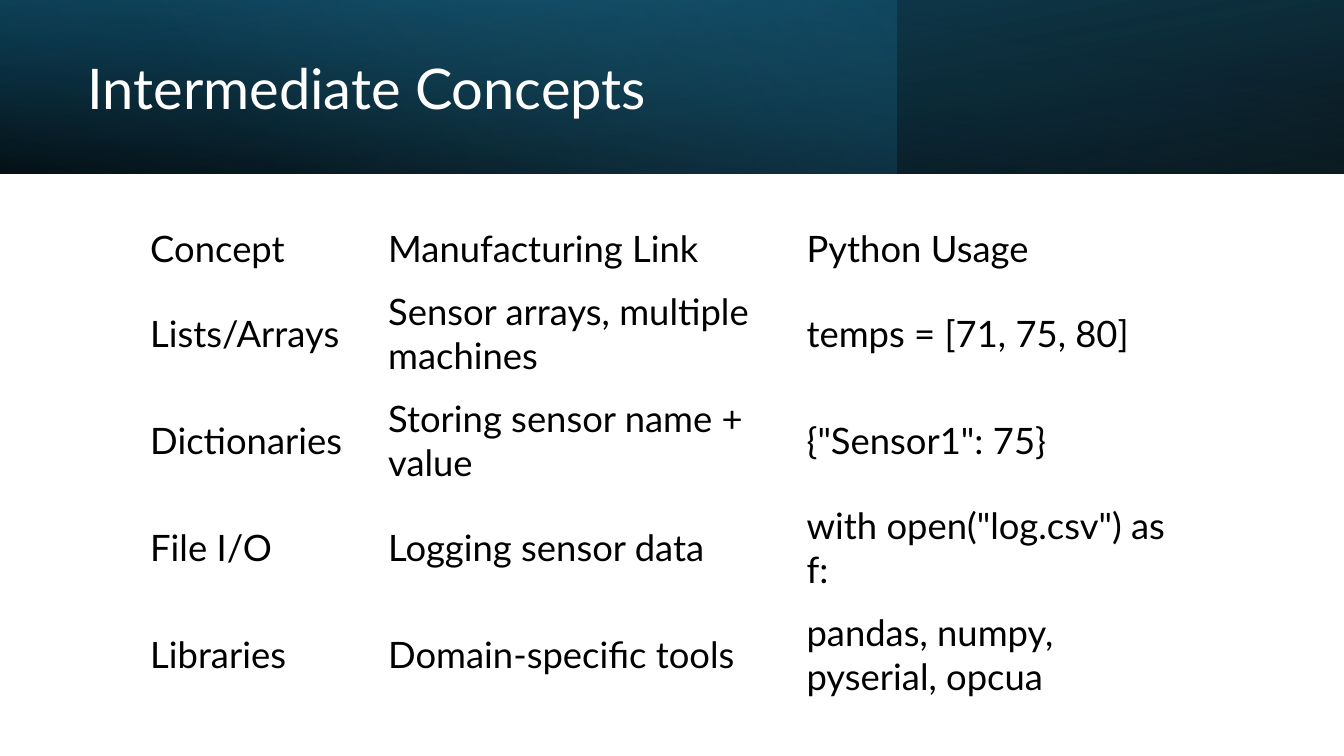
from lxml import etree
from pptx import Presentation
from pptx.dml.color import RGBColor
from pptx.enum.shapes import MSO_SHAPE
from pptx.enum.text import MSO_ANCHOR
from pptx.oxml.ns import qn
from pptx.util import Inches, Pt

RECTANGLE = MSO_SHAPE.RECTANGLE
MIDDLE = MSO_ANCHOR.MIDDLE

COLORS = {
    "black": "000000",
    "white": "FFFFFF",
    "deep_teal": "104862",
    "teal": "156082",
    "sky": "46B1E1",
}
SLIDE_WIDTH, SLIDE_HEIGHT = 13.33, 7.5
BANNER_HEIGHT = 1.72

COLUMN_WIDTHS = [2.36, 4.15, 4.11]
HEADER_HEIGHT, ROW_HEIGHT = 0.63, 1.06
CONCEPTS = [
    ["Concept", "Manufacturing Link", "Python Usage"],
    ["Lists/Arrays", "Sensor arrays, multiple machines", "temps = [71, 75, 80]"],
    ["Dictionaries", "Storing sensor name + value", '{"Sensor1": 75}'],
    ["File I/O", "Logging sensor data", 'with open("log.csv") as f:'],
    ["Libraries", "Domain-specific tools", "pandas, numpy, pyserial, opcua"],
]


def write_text(frame, text, size=26, color="black", font="Lato", line_spacing=None):
    frame.word_wrap = True
    paragraph = frame.paragraphs[0]
    if line_spacing:
        paragraph.line_spacing = line_spacing
    run = paragraph.add_run()
    run.text = text
    run.font.name = font
    run.font.size = Pt(size)
    run.font.color.rgb = RGBColor.from_string(COLORS[color])


class SlideBuilder:
    def __init__(self, slide):
        self.slide = slide

    def banner_layer(self, width, stops, angle, flip=False, rotation=0):
        """Stops are (position %, color name, opacity %); angle runs clockwise."""
        layer = self.slide.shapes.add_shape(
            RECTANGLE, 0, 0, Inches(width), Inches(BANNER_HEIGHT))
        layer.shadow.inherit = False
        layer.line.fill.background()
        layer.rotation = rotation
        properties = layer._element.spPr
        if flip:
            properties.xfrm.set("flipH", "1")
        layer.fill.gradient()
        layer.fill.gradient_angle = 360 - angle
        for stop, (position, color, _) in zip(layer.fill.gradient_stops, stops):
            stop.position = position / 100
            stop.color.rgb = RGBColor.from_string(COLORS[color])
        for tint, (_, _, opacity) in zip(properties.iter(qn("a:srgbClr")), stops):
            etree.SubElement(tint, qn("a:alpha"), val=str(opacity * 1000))

    def title(self, text, left, top, width, height):
        box = self.slide.shapes.add_textbox(
            Inches(left), Inches(top), Inches(width), Inches(height))
        box.text_frame.vertical_anchor = MIDDLE
        write_text(box.text_frame, text, size=40, color="white", line_spacing=0.9)

    def table(self, rows, left, top, widths, heights):
        table = self.slide.shapes.add_table(
            len(rows), len(widths), Inches(left), Inches(top),
            Inches(sum(widths)), Inches(sum(heights))).table
        table.first_row = table.horz_banding = False
        for column, width in zip(table.columns, widths):
            column.width = Inches(width)
        for row, height, texts in zip(table.rows, heights, rows):
            row.height = Inches(height)
            for cell, text in zip(row.cells, texts):
                cell.fill.background()
                cell.vertical_anchor = MIDDLE
                cell.margin_left = cell.margin_right = Inches(0.14)
                cell.margin_top = cell.margin_bottom = Inches(0.07)
                write_text(cell.text_frame, text)


def main():
    deck = Presentation()
    deck.slide_width = Inches(SLIDE_WIDTH)
    deck.slide_height = Inches(SLIDE_HEIGHT)
    builder = SlideBuilder(deck.slides.add_slide(deck.slide_layouts[6]))

    builder.banner_layer(SLIDE_WIDTH, [(0, "black", 96), (100, "deep_teal", 100)],
                         angle=100, flip=True, rotation=180)
    builder.banner_layer(8.89, [(0, "teal", 41), (74, "sky", 0)], angle=140)
    builder.banner_layer(SLIDE_WIDTH, [(0, "black", 63), (78, "teal", 15)],
                         angle=260, flip=True)
    builder.title("Intermediate Concepts", 0.77, 0.27, 7.72, 1.27)

    heights = [HEADER_HEIGHT] + [ROW_HEIGHT] * (len(CONCEPTS) - 1)
    builder.table(CONCEPTS, 1.35, 2.15, COLUMN_WIDTHS, heights)
    deck.save("out.pptx")


if __name__ == "__main__":
    main()
